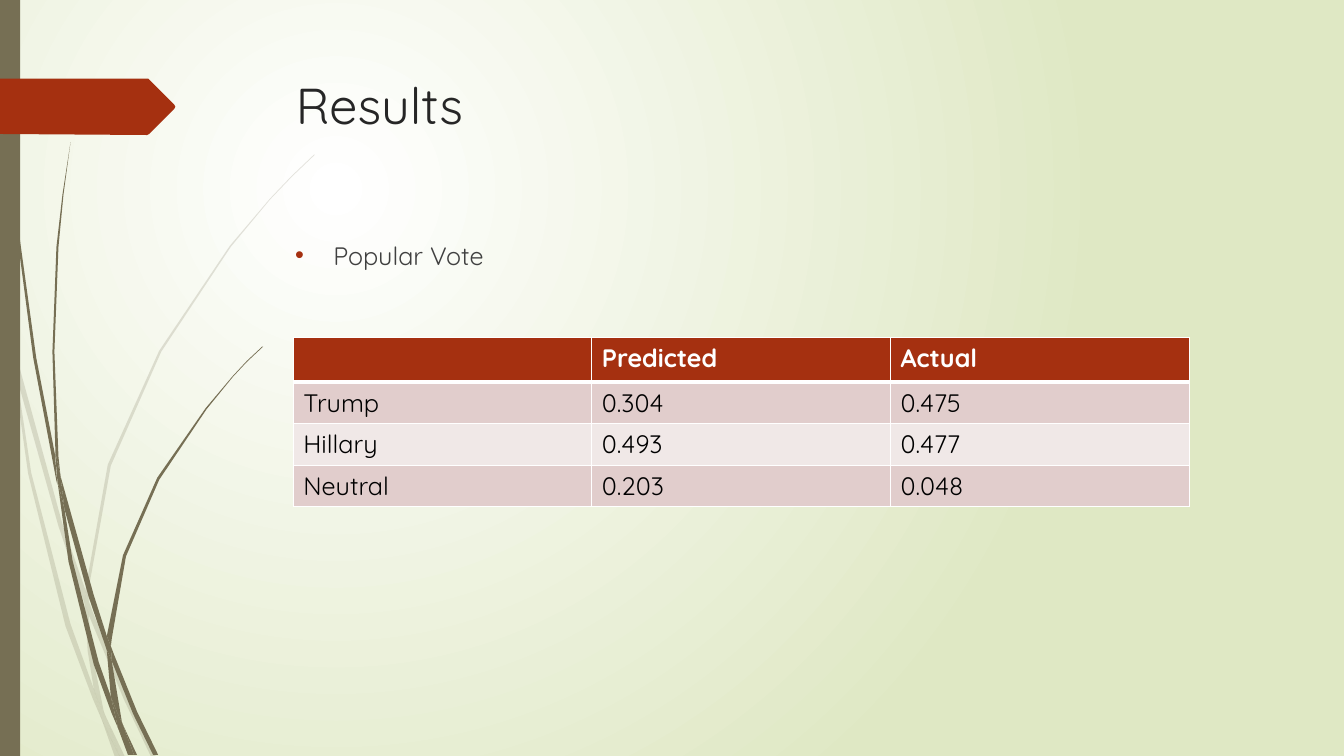
from lxml.etree import SubElement
from pptx import Presentation
from pptx.dml.color import RGBColor
from pptx.enum.shapes import MSO_SHAPE
from pptx.enum.text import MSO_ANCHOR
from pptx.oxml import parse_xml
from pptx.oxml.ns import nsdecls, qn
from pptx.util import Cm, Pt

WHITE = RGBColor(0xFF, 0xFF, 0xFF)
BLACK = RGBColor(0, 0, 0)
SAGE = RGBColor(0xDF, 0xE8, 0xC4)
OLIVE = RGBColor(0x76, 0x6F, 0x54)
RUST = RGBColor(0xA5, 0x30, 0x10)
ROSE = RGBColor(0xE1, 0xCD, 0xCC)
BLUSH = RGBColor(0xF0, 0xE8, 0xE7)
INK = RGBColor(0x26, 0x26, 0x26)
GREY = RGBColor(0x40, 0x40, 0x40)

# Outlines of the grass and the tag, in hundredths of an inch.
PALE = [
    [(11, 350), (9, 322), (0, 282), (0, 299), (10, 344)],
    [(58, 522), (84, 599), (85, 586), (62, 520), (14, 345), (17, 376)],
    [(92, 607), (88, 596), (88, 610), (123, 694), (150, 751), (155, 751),
     (127, 692)],
    [(119, 751), (124, 751), (105, 711)],
    [(93, 683), (70, 619), (31, 469), (17, 376), (11, 350), (28, 470),
     (65, 621), (92, 693), (101, 714), (99, 707)],
    [(84, 599), (87, 646), (93, 683), (96, 692), (105, 711), (103, 706),
     (91, 646), (88, 610), (88, 608)],
    [(88, 584), (110, 462), (160, 349), (229, 245), (268, 198), (290, 175),
     (312, 154), (312, 153), (289, 175), (268, 197), (228, 244), (158, 348),
     (107, 461), (85, 584), (85, 586), (88, 596)],
    [(101, 714), (114, 751), (119, 751)],
    [(88, 608), (88, 610), (88, 596), (85, 586), (84, 599)],
    [(96, 692), (93, 683), (99, 707), (101, 714), (119, 751), (105, 711)],
]
DARK = [
    [(7, 110), (17, 233), (33, 355), (56, 477), (57, 481), (55, 457),
     (55, 453), (36, 355), (19, 232), (8, 109), (5, 48), (4, 0), (3, 0),
     (4, 48)],
    [(88, 592), (106, 645), (106, 631), (93, 590), (60, 472), (64, 505)],
    [(113, 649), (110, 641), (111, 656), (132, 708), (152, 749), (157, 749),
     (136, 706)],
    [(110, 691), (98, 657), (72, 556), (64, 505), (57, 477), (68, 557),
     (93, 659), (111, 708), (117, 722), (116, 717)],
    [(60, 472), (58, 453), (54, 349), (58, 245), (63, 193), (70, 141),
     (62, 193), (56, 245), (52, 349), (55, 449)],
    [(133, 749), (136, 749), (122, 719)],
    [(57, 477), (64, 505), (60, 472), (55, 449), (55, 453)],
    [(111, 633), (125, 552), (158, 476), (205, 406), (231, 374), (245, 359),
     (261, 344), (260, 344), (245, 358), (231, 373), (204, 405), (156, 474),
     (122, 551), (106, 631), (110, 641)],
    [(117, 722), (127, 749), (131, 749)],
    [(106, 645), (110, 691), (116, 706), (122, 719), (121, 716), (111, 656),
     (109, 651)],
    [(106, 645), (109, 651), (111, 656), (110, 641), (106, 631)],
    [(116, 706), (110, 691), (116, 717), (117, 722), (130, 749), (133, 749),
     (122, 719)],
]
TAG = [(0, 78), (147, 78), (148, 79), (173, 104), (174, 106), (173, 108),
       (148, 133), (146, 134), (0, 133)]
VOTES = [
    ("", "Predicted", "Actual"),
    ("Trump", "0.304", "0.475"),
    ("Hillary", "0.493", "0.477"),
    ("Neutral", "0.203", "0.048"),
]


class Deck:
    """Hold the style and the slide being drawn."""

    face = "Quicksand"

    def __init__(self):
        """Open a wide deck with one blank slide."""
        self.file = Presentation()
        self.file.slide_width, self.file.slide_height = Cm(33.87), Cm(19.05)
        self.slide = self.file.slides.add_slide(self.file.slide_layouts[6])
        self.shapes = self.slide.shapes

    def glow(self, inner, outer):
        """Fill the background with a round gradient."""
        fill = self.slide.background.fill
        fill.gradient()
        for stop, tint in zip(fill.gradient_stops, (inner, outer)):
            stop.color.rgb = tint
        grad = self.slide.element.find(".//" + qn("a:gradFill"))
        grad.replace(grad.find(qn("a:lin")), parse_xml(
            f'<a:path {nsdecls("a")} path="circle"><a:fillToRect l="50000" '
            't="50000" r="100000" b="100000"/></a:path>'))

    def paint(self, shape, tint):
        """Give a shape a flat fill with no line or shadow."""
        shape.shadow.inherit = False
        shape.fill.solid()
        shape.fill.fore_color.rgb = tint
        shape.line.fill.background()

    def block(self, kind, box, tint):
        """Add a preset shape."""
        self.paint(self.shapes.add_shape(kind, *map(Cm, box)), tint)

    def patch(self, edge, tint, alpha=100):
        """Add a closed outline."""
        pen = self.shapes.build_freeform(*edge[0], scale=Cm(2.54) / 100)
        pen.add_line_segments(edge[1:], close=True)
        shape = pen.convert_to_shape()
        self.paint(shape, tint)
        if alpha < 100:
            color = shape.element.spPr.find(".//" + qn("a:srgbClr"))
            SubElement(color, qn("a:alpha"), val=str(alpha * 1000))

    def style(self, para, size, tint, bold=False):
        """Set the font of a paragraph."""
        font = para.font
        font.name, font.size, font.bold = self.face, Pt(size), bold
        font.color.rgb = tint

    def text(self, words, box, size, tint, dot=None):
        """Add a text box, with a bullet if a dot colour is given."""
        frame = self.shapes.add_textbox(*map(Cm, box)).text_frame
        frame.word_wrap = True
        para = frame.paragraphs[0]
        para.text = words
        self.style(para, size, tint)
        if dot is not None:
            props = para._p.get_or_add_pPr()
            props.set("marL", str(Cm(0.96)))
            props.set("indent", str(Cm(-0.96)))
            marks = (f'buClr {nsdecls("a")}><a:srgbClr val="{dot}"/></a:buClr',
                     f'buFont {nsdecls("a")} typeface="Arial"/',
                     f'buChar {nsdecls("a")} char="\u2022"/')
            for spot, mark in enumerate(marks):
                props.insert(spot, parse_xml(f"<a:{mark}>"))

    def rule(self, cell, base):
        """Draw white borders round a cell, the lower one base points wide."""
        props = cell._tc.get_or_add_tcPr()
        for spot, (side, wide) in enumerate(zip("LRTB", (1, 1, 1, base))):
            props.insert(spot, parse_xml(
                f'<a:ln{side} {nsdecls("a")} w="{Pt(wide)}"><a:solidFill>'
                f'<a:srgbClr val="{WHITE}"/></a:solidFill></a:ln{side}>'))

    def table(self, data, box, highs):
        """Add a table with a header and banded rows."""
        grid = self.shapes.add_table(
            len(data), len(data[0]), *map(Cm, box)).table
        grid.first_row = grid.horz_banding = False
        for i, (line, high) in enumerate(zip(data, highs)):
            grid.rows[i].height = Cm(high)
            head = i == 0
            for j, words in enumerate(line):
                cell = grid.cell(i, j)
                cell.text = words
                cell.fill.solid()
                cell.fill.fore_color.rgb = (
                    RUST if head else ROSE if i % 2 else BLUSH)
                self.rule(cell, 3 if head else 1)
                self.style(cell.text_frame.paragraphs[0], 18,
                           WHITE if head else BLACK, head)
        return grid


deck = Deck()
deck.glow(WHITE, SAGE)
for edge in PALE:
    deck.patch(edge, OLIVE, 20)
for edge in DARK:
    deck.patch(edge, OLIVE)
deck.block(MSO_SHAPE.RECTANGLE, (0, 0, 0.51, 19.05), OLIVE)
deck.patch(TAG, RUST)
deck.text("Results", (7.21, 1.75, 24.77, 3.56), 36, INK)
deck.text("Popular Vote", (7.19, 5.92, 24.77, 10.49), 18, GREY, RUST)
votes = deck.table(VOTES, (7.39, 8.5, 22.58, 4.27), (1.12, 1.05, 1.05, 1.05))
votes.cell(3, 1).vertical_anchor = MSO_ANCHOR.MIDDLE
deck.file.save("out.pptx")
